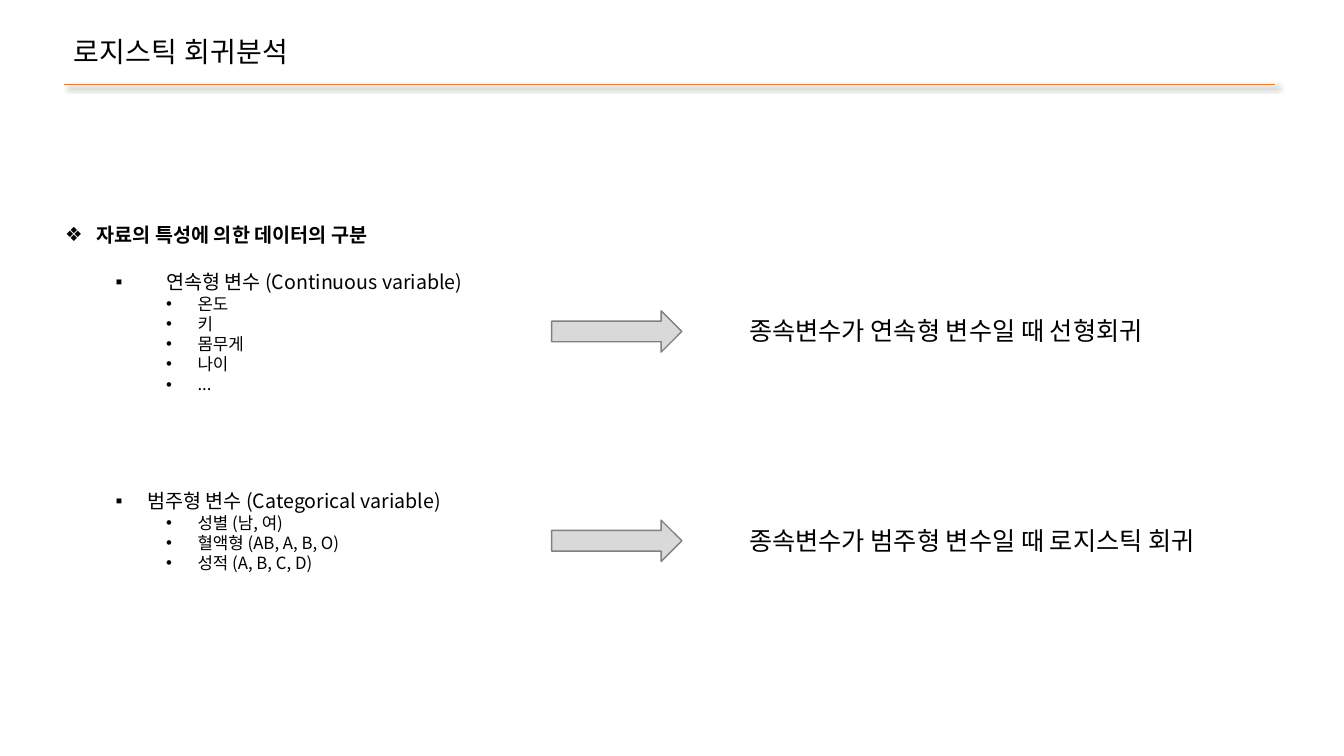
from dataclasses import dataclass

from lxml.etree import SubElement
from pptx import Presentation
from pptx.dml.color import RGBColor
from pptx.enum.shapes import MSO_CONNECTOR, MSO_SHAPE
from pptx.enum.text import MSO_AUTO_SIZE
from pptx.oxml import parse_xml
from pptx.oxml.ns import nsdecls, qn
from pptx.util import Pt


@dataclass(frozen=True)
class Theme:
    """Colours, fonts and type sizes of the slide."""
    text: str = "000000"
    rule: str = "ED7D31"
    arrow_fill: str = "D9D9D9"
    arrow_line: str = "808080"
    title_font: str = "Arial"
    body_font: str = "Noto Sans CJK KR"
    title_size: int = 20
    result_size: int = 18
    topic_size: int = 14
    item_size: int = 12


THEME = Theme()
BULLETS = ("❖", "▪", "•")
INDENT = 22.5
LEVEL_STEP = 36
OUTLINE = (
    (0, "자료의 특성에 의한 데이터의 구분", 0),
    (1, "\t연속형 변수 (Continuous variable)", 17),
    (2, "온도", 0),
    (2, "키", 0),
    (2, "몸무게", 0),
    (2, "나이", 0),
    (2, "...", 0),
    (1, "범주형 변수 (Categorical variable)", 67.5),
    (2, "성별 (남, 여)", 0),
    (2, "혈액형 (AB, A, B, O)", 0),
    (2, "성적 (A, B, C, D)", 0),
)
RESULTS = (
    (222, "종속변수가 연속형 변수일 때 선형회귀"),
    (371.5, "종속변수가 범주형 변수일 때 로지스틱 회귀"),
)


def add_run(paragraph, text, size, font, bold=False):
    """Append one styled run, with the same font for Latin and Korean."""
    run = paragraph.add_run()
    run.text = text
    run.font.size = Pt(size)
    run.font.name = font
    run.font.bold = bold
    run.font.color.rgb = RGBColor.from_string(THEME.text)
    SubElement(run.font._element, qn("a:ea")).set("typeface", font)


def add_text_frame(slide, left, top, width, height, wrap):
    """Add a text box and return its text frame."""
    box = slide.shapes.add_textbox(Pt(left), Pt(top), Pt(width), Pt(height))
    frame = box.text_frame
    frame.word_wrap = wrap
    frame.auto_size = MSO_AUTO_SIZE.SHAPE_TO_FIT_TEXT
    return frame


def add_label(slide, left, top, width, height, text, size, font):
    """Add a single line of text."""
    frame = add_text_frame(slide, left, top, width, height, False)
    add_run(frame.paragraphs[0], text, size, font)


def set_bullet(paragraph, level):
    """Give a paragraph the bullet and hanging indent of its level."""
    paragraph.level = level
    properties = paragraph._p.get_or_add_pPr()
    properties.set("marL", str(Pt(INDENT + LEVEL_STEP * level)))
    properties.set("indent", str(-Pt(INDENT)))
    SubElement(properties, qn("a:buFont")).set("typeface", "Arial")
    SubElement(properties, qn("a:buChar")).set("char", BULLETS[level])


def add_outline(slide):
    """Add the bulleted outline of variable types."""
    frame = add_text_frame(slide, 39.5, 155.5, 480, 310, True)
    for index, (level, text, gap) in enumerate(OUTLINE):
        paragraph = frame.add_paragraph() if index else frame.paragraphs[0]
        paragraph.space_before = Pt(gap)
        set_bullet(paragraph, level)
        size = THEME.item_size if level == 2 else THEME.topic_size
        add_run(paragraph, text, size, THEME.body_font, level == 0)


def add_title_rule(slide):
    """Draw the shadowed line under the title."""
    rule = slide.shapes.add_connector(
        MSO_CONNECTOR.STRAIGHT, Pt(45.5), Pt(60.5), Pt(911), Pt(60.5))
    rule.line.color.rgb = RGBColor.from_string(THEME.rule)
    rule.line.width = Pt(0.5)
    rule._element.spPr.append(parse_xml(
        f'<a:effectLst {nsdecls("a")}><a:outerShdw blurRad="{Pt(4)}" '
        f'dist="{Pt(3)}" dir="2700000" algn="tl" rotWithShape="0">'
        f'<a:srgbClr val="{THEME.text}"><a:alpha val="40000"/></a:srgbClr>'
        '</a:outerShdw></a:effectLst>'))


def add_arrow(slide, top):
    """Add a grey arrow pointing at a result."""
    arrow = slide.shapes.add_shape(
        MSO_SHAPE.RIGHT_ARROW, Pt(394), Pt(top), Pt(93), Pt(29.5))
    arrow.shadow.inherit = False
    arrow.fill.solid()
    arrow.fill.fore_color.rgb = RGBColor.from_string(THEME.arrow_fill)
    arrow.line.color.rgb = RGBColor.from_string(THEME.arrow_line)
    arrow.line.width = Pt(1)


def main():
    """Build the slide and save it."""
    presentation = Presentation()
    presentation.slide_width = Pt(960)
    presentation.slide_height = Pt(540)
    slide = presentation.slides.add_slide(presentation.slide_layouts[6])
    add_title_rule(slide)
    add_label(slide, 45.5, 21, 181.5, 31.5, "로지스틱 회귀분석",
              THEME.title_size, THEME.title_font)
    add_outline(slide)
    for top, text in RESULTS:
        add_arrow(slide, top)
        add_label(slide, 528, top, 350, 29, text,
                  THEME.result_size, THEME.body_font)
    presentation.save("out.pptx")


if __name__ == "__main__":
    main()
